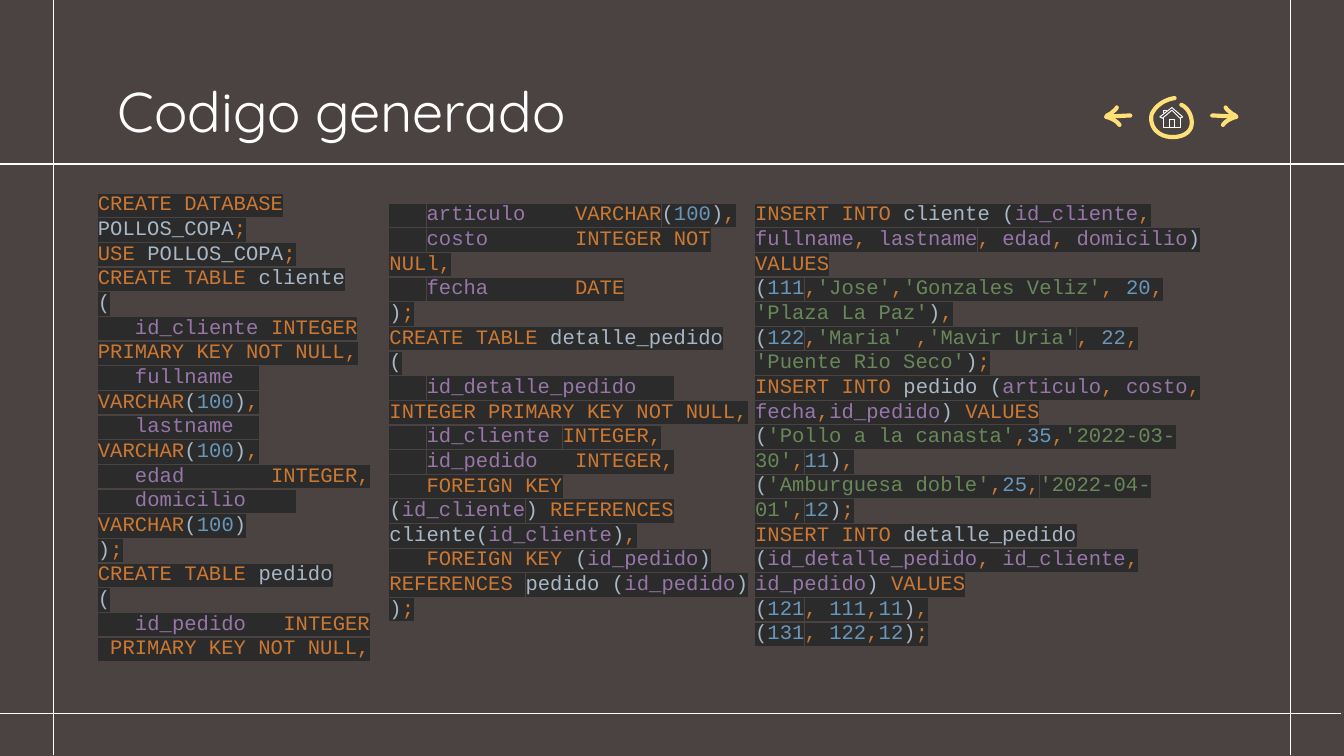
import itertools

import pptx
import pptx.dml.color
import pptx.enum.shapes
import pptx.enum.text
import pptx.oxml.ns
import pptx.util
from lxml import etree
from pptx.util import Inches

ANCHOR = pptx.enum.text.MSO_ANCHOR
TABLES = {"POLLOS_COPA", "cliente", "pedido", "detalle_pedido"}
COLOURS = {"keyword": "CC7832", "plain": "A9B7C6", "column": "9876AA",
           "number": "6897BB", "string": "6A8759"}

SCHEMA_SQL = """CREATE DATABASE POLLOS_COPA;
USE POLLOS_COPA;
CREATE TABLE cliente
(
   id_cliente INTEGER PRIMARY KEY NOT NULL,
   fullname   VARCHAR(100),
   lastname   VARCHAR(100),
   edad       INTEGER,
   domicilio     VARCHAR(100)
);
CREATE TABLE pedido
(
   id_pedido   INTEGER  PRIMARY KEY NOT NULL,"""

DETAIL_SQL = """   articulo    VARCHAR(100),
   costo       INTEGER NOT NULl,
   fecha       DATE
);
CREATE TABLE detalle_pedido
(
   id_detalle_pedido    INTEGER PRIMARY KEY NOT NULL,
   id_cliente INTEGER,
   id_pedido   INTEGER,
   FOREIGN KEY
(id_cliente) REFERENCES cliente(id_cliente),
   FOREIGN KEY (id_pedido) REFERENCES pedido (id_pedido)
);"""

INSERT_SQL = """INSERT INTO cliente (id_cliente, fullname, lastname, edad, domicilio) VALUES
(111,'Jose','Gonzales Veliz', 20, 'Plaza La Paz'),
(122,'Maria' ,'Mavir Uria', 22, 'Puente Rio Seco');
INSERT INTO pedido (articulo, costo, fecha,id_pedido) VALUES
('Pollo a la canasta',35,'2022-03-30',11),
('Amburguesa doble',25,'2022-04-01',12);
INSERT INTO detalle_pedido (id_detalle_pedido, id_cliente, id_pedido) VALUES
(121, 111,11),
(131, 122,12);"""


def colour(value):
    return pptx.dml.color.RGBColor.from_string(value)


def token_kind(token):
    if token in TABLES or token in "()":
        return "plain"
    if token.isdigit():
        return "number"
    if token in ",;" or token[0].isupper():
        return "keyword"
    return "column"


def character_class(character):
    if character.isalnum() or character == "_":
        return "word"
    return "space" if character == " " else character


def sql_runs(line):
    tokens = []
    kind = "keyword"
    for index, part in enumerate(line.split("'")):
        if index % 2:
            kind = "string"
            tokens.append((kind, f"'{part}'"))
            continue
        for group, characters in itertools.groupby(part, character_class):
            token = "".join(characters)
            if group != "space":
                kind = token_kind(token)
            tokens.append((kind, token))
    for kind, group in itertools.groupby(tokens, lambda token: token[0]):
        yield kind, "".join(token for _, token in group)


def bezier(start, curves, steps=10):
    points = [start]
    for first, second, end in curves:
        origin = points[-1]
        for step in range(1, steps + 1):
            t = step / steps
            weights = ((1 - t) ** 3, 3 * t * (1 - t) ** 2, 3 * t * t * (1 - t), t ** 3)
            corners = (origin, first, second, end)
            points.append(tuple(sum(w * corner[axis] for w, corner in zip(weights, corners))
                                for axis in (0, 1)))
    return points


class SlideBuilder:
    white = "FFFFFF"
    accent = "FFE077"
    highlight = "2B2B2B"

    def __init__(self, slide):
        self.slide = slide
        self.shapes = slide.shapes
        fill = slide.background.fill
        fill.solid()
        fill.fore_color.rgb = colour("4B4242")

    def rule(self, start, end):
        connector = self.shapes.add_connector(
            pptx.enum.shapes.MSO_CONNECTOR.STRAIGHT,
            *(Inches(value) for value in start + end))
        connector.line.color.rgb = colour(self.white)
        connector.line.width = pptx.util.Pt(0.75)
        etree.SubElement(connector._element.spPr, pptx.oxml.ns.qn("a:effectLst"))

    def stroke(self, contours, line_colour, width, closed=False):
        outlines = [[(Inches(x), Inches(y)) for x, y in points] for points in contours]
        builder = self.shapes.build_freeform(*outlines[0][0])
        for index, points in enumerate(outlines):
            if index:
                builder.move_to(*points[0])
            builder.add_line_segments(points[1:], close=closed)
        shape = builder.convert_to_shape()
        shape.shadow.inherit = False
        shape.fill.background()
        shape.line.color.rgb = colour(line_colour)
        shape.line.width = pptx.util.Pt(width)
        shape.line._get_or_add_ln().set("cap", "rnd")

    def text_frame(self, left, top, width, height, **settings):
        box = self.shapes.add_textbox(*(Inches(v) for v in (left, top, width, height)))
        margins = {f"margin_{side}": Inches(0.1) for side in ("left", "top", "right", "bottom")}
        for name, value in {"word_wrap": True, **margins, **settings}.items():
            setattr(box.text_frame, name, value)
        return box.text_frame

    def run(self, paragraph, text, size, name, text_colour, highlight=None):
        run = paragraph.add_run()
        run.text = text
        run.font.color.rgb = colour(text_colour)
        if highlight:
            mark = etree.SubElement(run.font._element, pptx.oxml.ns.qn("a:highlight"))
            etree.SubElement(mark, pptx.oxml.ns.qn("a:srgbClr"), val=highlight)
        for attribute, value in {"size": pptx.util.Pt(size), "name": name}.items():
            setattr(run.font, attribute, value)

    def title(self, text, *bounds):
        frame = self.text_frame(*bounds)
        self.run(frame.paragraphs[0], text, 30, "Quicksand", self.white)

    def code(self, source, *bounds, **settings):
        frame = self.text_frame(*bounds, **settings)
        for index, line in enumerate(source.splitlines()):
            paragraph = frame.add_paragraph() if index else frame.paragraphs[0]
            for kind, text in sql_runs(line):
                self.run(paragraph, text, 11, "Courier New", COLOURS[kind], self.highlight)

    def arrow(self, place):
        head = bezier((8.31, 0.8), [((8.3, 0.82), (8.28, 0.83), (8.26, 0.85)),
                                    ((8.25, 0.85), (8.24, 0.86), (8.23, 0.87)),
                                    ((8.27, 0.88), (8.31, 0.9), (8.33, 0.93))])
        shaft = bezier((8.24, 0.86), [((8.3, 0.87), (8.35, 0.86), (8.41, 0.86))])
        for points in (head, shaft):
            self.stroke([[(place(x), y) for x, y in points]], self.accent, 2.25)

    def home(self):
        ring = bezier((8.74, 0.73), [((8.67, 0.74), (8.61, 0.78), (8.58, 0.83)),
                                     ((8.55, 0.87), (8.57, 0.95), (8.61, 0.98)),
                                     ((8.67, 1.04), (8.81, 1.03), (8.85, 0.97)),
                                     ((8.89, 0.92), (8.86, 0.81), (8.79, 0.78))])
        self.stroke([ring], self.accent, 2.25)
        roof = [(8.63, 0.87), (8.72, 0.8), (8.8, 0.87), (8.78, 0.88), (8.72, 0.82), (8.65, 0.88)]
        walls = [(8.66, 0.88), (8.66, 0.95), (8.78, 0.95), (8.78, 0.88)]
        door = [(8.7, 0.95), (8.7, 0.89), (8.74, 0.89), (8.74, 0.95)]
        chimney = [(8.66, 0.84), (8.66, 0.82), (8.68, 0.82), (8.68, 0.83)]
        self.stroke([roof], self.white, 0.5, closed=True)
        self.stroke([walls, door, chimney], self.white, 0.5)


def main():
    presentation = pptx.Presentation()
    presentation.slide_width = Inches(10)
    presentation.slide_height = Inches(10) * 9 // 16
    builder = SlideBuilder(presentation.slides.add_slide(presentation.slide_layouts[6]))

    builder.rule((0, 1.22), (10.01, 1.22))
    for x in (0.4, 9.6):
        builder.rule((x, 5.62), (x, 0))
    builder.rule((9.98, 5.31), (0, 5.31))

    builder.title("Codigo generado", 0.78, 0.47, 7.44, 0.51)
    builder.code(SCHEMA_SQL, 0.63, 1.45, 2.25, 3.63,
                 vertical_anchor=ANCHOR.MIDDLE, margin_bottom=Inches(0.31))
    builder.home()
    builder.arrow(lambda x: x)
    builder.arrow(lambda x: 17.43 - x)
    builder.code(INSERT_SQL, 5.52, 1.39, 3.7, 3.77)
    builder.code(DETAIL_SQL, 2.8, 1.39, 2.93, 3.35)
    presentation.save("out.pptx")


if __name__ == "__main__":
    main()
